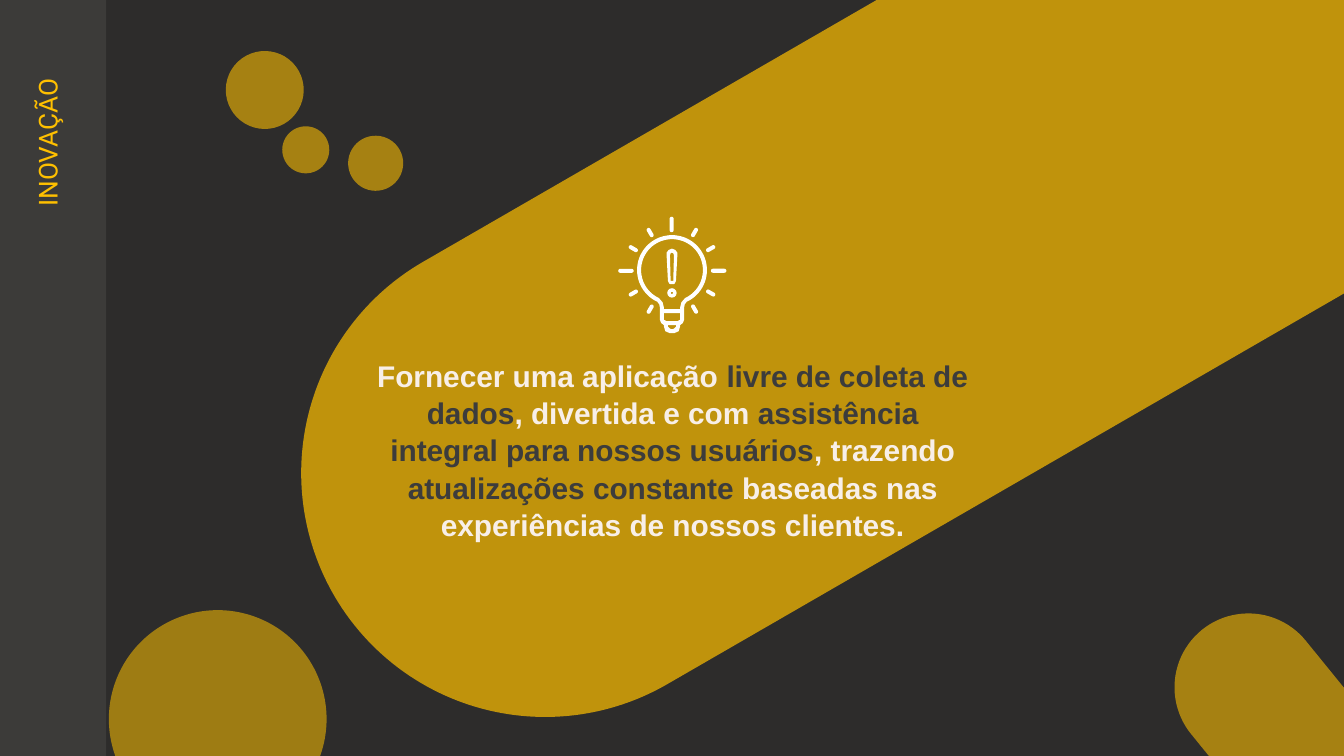
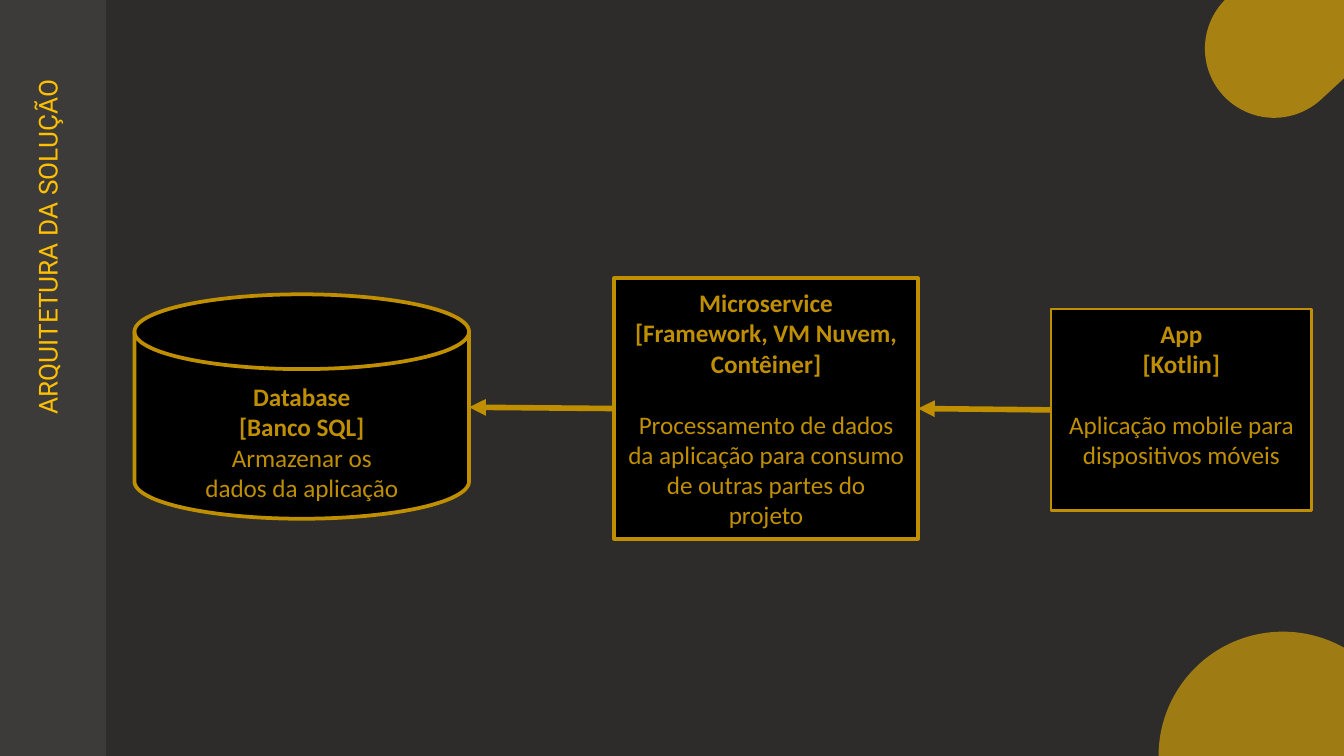
from dataclasses import dataclass
from math import cos, radians, sin

from lxml.etree import SubElement
from pptx import Presentation
from pptx.dml.color import RGBColor
from pptx.enum.shapes import MSO_CONNECTOR, MSO_SHAPE as Geo
from pptx.enum.text import MSO_ANCHOR, PP_ALIGN as Align
from pptx.oxml.ns import qn
from pptx.shapes.autoshape import Shape
from pptx.shapes.connector import Connector
from pptx.slide import Slide
from pptx.util import Emu, Pt

PX = 4572
SLIDE_W, SLIDE_H = 2000, 1125

BACKGROUND = RGBColor(0x2D, 0x2C, 0x2B)
SIDEBAR = RGBColor(0x3C, 0x3B, 0x39)
AMBER = RGBColor(0xFF, 0xC0, 0x00)
MUTED_AMBER = RGBColor(0xA7, 0x81, 0x12)
GOLD = RGBColor(0xBF, 0x8F, 0x00)
CREAM = RGBColor(0xF8, 0xEF, 0xE8)
CHARCOAL = RGBColor(0x3C, 0x3C, 0x3C)
BLACK = RGBColor(0x00, 0x00, 0x00)
WHITE = RGBColor(0xFF, 0xFF, 0xFF)

Point = tuple[float, float]


@dataclass(frozen=True)
class Box:
    left: int
    top: int
    width: int
    height: int

    def emu(self) -> tuple[Emu, Emu, Emu, Emu]:
        return px(self.left), px(self.top), px(self.width), px(self.height)


@dataclass(frozen=True)
class Blob:
    geometry: Geo
    box: Box
    opacity: int = 100
    rotation: float = 0
    colour: RGBColor = AMBER


@dataclass(frozen=True)
class Node:
    geometry: Geo
    box: Box
    text_box: Box
    heading: tuple[str, ...]
    details: tuple[str, ...]
    border: float = 2
    gap: float = 0


MISSION_PILL = Blob(Geo.ROUNDED_RECTANGLE, Box(366, 34, 1954, 726), 70, 330)
MISSION_BLOBS = (
    Blob(Geo.OVAL, Box(162, 908, 324, 324), 54),
    Blob(Geo.OVAL, Box(518, 202, 82, 82), 58, 30.9),
    Blob(Geo.OVAL, Box(420, 188, 70, 70), 58, 30.9),
    Blob(Geo.OVAL, Box(336, 76, 116, 116), 58, 30.9),
    Blob(Geo.ROUNDED_RECTANGLE, Box(1710, 992, 424, 220), 58, 50.9),
)
MISSION = (
    ("Fornecer uma aplicação ", CREAM),
    ("livre de coleta de dados", CHARCOAL),
    (", divertida e com ", CREAM),
    ("assistência integral para nossos usuários", CHARCOAL),
    (", trazendo ", CREAM),
    ("atualizações constante ", CHARCOAL),
    ("baseadas nas experiências de nossos clientes.", CREAM),
)

SOLUTION_BLOBS = (
    Blob(Geo.OVAL, Box(1724, 940, 370, 370), 54),
    Blob(Geo.ROUNDED_RECTANGLE, Box(1780, -64, 304, 206), 100, 137.3, MUTED_AMBER),
)
DATABASE = Node(
    Geo.FLOWCHART_MAGNETIC_DISK, Box(200, 438, 498, 334), Box(248, 558, 402, 202),
    ("Database", "[Banco SQL]"), ("Armazenar os", "dados da aplicação"),
)
APP = Node(
    Geo.RECTANGLE, Box(1564, 460, 388, 300), Box(1564, 464, 388, 248),
    ("App", "[Kotlin]"), ("Aplicação mobile para dispositivos móveis",),
    border=1.5, gap=16.5,
)
MICROSERVICE = Node(
    Geo.RECTANGLE, Box(914, 414, 452, 388), Box(914, 418, 452, 384),
    ("Microservice", "[Framework, VM Nuvem, Contêiner]"),
    ("Processamento de dados da aplicação para consumo de outras partes do projeto",),
    gap=16.5,
)

BULB_X, BULB_Y = 1000, 402


def px(value: float) -> Emu:
    return Emu(round(value * PX))


def paint(shape: Shape, colour: RGBColor, opacity: int = 100) -> None:
    shape.shadow.inherit = False
    shape.fill.solid()
    shape.fill.fore_color.rgb = colour
    shape.line.fill.background()
    if opacity < 100:
        tint = shape.fill._xPr.find(qn("a:solidFill"))[0]
        SubElement(tint, qn("a:alpha")).set("val", str(opacity * 1000))


def add_blob(slide: Slide, blob: Blob) -> Shape:
    shape = slide.shapes.add_shape(blob.geometry, *blob.box.emu())
    if blob.geometry == Geo.ROUNDED_RECTANGLE:
        shape.adjustments[0] = 0.5
    shape.rotation = blob.rotation
    paint(shape, blob.colour, blob.opacity)
    return shape


def add_text_box(slide: Slide, box: Box, inset_y: int = 20) -> Shape:
    holder = slide.shapes.add_textbox(*box.emu())
    frame = holder.text_frame
    frame.word_wrap = True
    frame.vertical_anchor = MSO_ANCHOR.TOP
    frame.margin_left = frame.margin_right = px(20)
    frame.margin_top = frame.margin_bottom = px(inset_y)
    return holder


def add_base(deck: Presentation, title: str, title_box: Box) -> Slide:
    slide = deck.slides.add_slide(deck.slide_layouts[6])
    slide.background.fill.solid()
    slide.background.fill.fore_color.rgb = BACKGROUND
    add_blob(slide, Blob(Geo.RECTANGLE, Box(-2, -2, 160, 1136), colour=SIDEBAR))
    heading = add_text_box(slide, title_box)
    heading.rotation = 270
    line = heading.text_frame.paragraphs[0]
    line.text = title
    line.alignment = Align.RIGHT
    line.font.name = "Roboto"
    line.font.size = Pt(14)
    line.font.color.rgb = AMBER
    return slide


def mirrored(half: list[Point]) -> list[Point]:
    right = [(BULB_X + dx, y) for dx, y in half]
    left = [(BULB_X - dx, y) for dx, y in reversed(half)]
    return right + left


def glass_arc(radius: int) -> list[Point]:
    return [
        (radius * sin(radians(angle)), BULB_Y - radius * cos(radians(angle)))
        for angle in range(0, 156, 5)
    ]


def add_outline(slide: Slide, halves: list[list[Point]]) -> None:
    contours = [[(px(x), px(y)) for x, y in mirrored(half)] for half in halves]
    builder = slide.shapes.build_freeform(*contours[0][0], scale=1.0)
    for index, contour in enumerate(contours):
        if index:
            builder.move_to(*contour[0])
        builder.add_line_segments(contour[1:], close=True)
    paint(builder.convert_to_shape(), WHITE)


def add_light_bulb(slide: Slide) -> None:
    add_outline(slide, [
        glass_arc(52) + [(19, 453), (18, 458), (18, 476), (16, 481), (12, 484),
                         (12, 486), (10, 493), (3, 496)],
        glass_arc(46) + [(14, 450), (12, 458), (12, 460)],
        [(12, 466), (12, 476), (8, 478)],
        [(6, 484), (6, 486), (2, 490)],
    ])
    add_outline(slide, [
        [(0, 370), (5, 372), (8, 376), (8, 380), (6, 418), (4, 422), (2, 423)],
        [(0, 376), (2, 377), (3, 380), (2, 418)],
    ])
    dot = slide.shapes.add_shape(Geo.DONUT, *Box(993, 429, 14, 14).emu())
    dot.adjustments[0] = 0.38
    paint(dot, WHITE)
    for angle in range(-240, 61, 30):
        distance, length = (69, 23) if angle % 90 == 0 else (66, 15)
        x = BULB_X + distance * cos(radians(angle))
        y = BULB_Y + 1 + distance * sin(radians(angle))
        ray = Box(round(x - length / 2), round(y - 3), length, 6)
        add_blob(slide, Blob(Geo.ROUNDED_RECTANGLE, ray, 100, angle % 360, WHITE))


def add_mission(slide: Slide) -> None:
    frame = add_text_box(slide, Box(540, 510, 922, 328)).text_frame
    statement = frame.paragraphs[0]
    statement.alignment = Align.CENTER
    statement.line_spacing = 1.04
    statement.space_after = Pt(16)
    statement.font.name = "Arial"
    statement.font.size = Pt(16)
    statement.font.bold = True
    for words, colour in MISSION:
        run = statement.add_run()
        run.text = words
        run.font.color.rgb = colour


def add_node(slide: Slide, node: Node) -> Shape:
    body = slide.shapes.add_shape(node.geometry, *node.box.emu())
    paint(body, BLACK)
    body.line.color.rgb = GOLD
    body.line.width = Pt(node.border)
    frame = add_text_box(slide, node.text_box, 10).text_frame
    for index, words in enumerate(node.heading + node.details):
        line = frame.add_paragraph() if index else frame.paragraphs[0]
        line.text = words
        line.alignment = Align.CENTER
        line.font.name = "Calibri"
        line.font.size = Pt(13.5)
        line.font.bold = index < len(node.heading)
        line.font.color.rgb = GOLD
        if node.gap and index == len(node.heading):
            line.space_before = Pt(node.gap)
    return body


def add_arrow(slide: Slide, start: Point, end: Point) -> Connector:
    arrow = slide.shapes.add_connector(
        MSO_CONNECTOR.STRAIGHT, *(px(value) for value in start + end)
    )
    arrow.line.color.rgb = GOLD
    arrow.line.width = Pt(3)
    SubElement(arrow.line._get_or_add_ln(), qn("a:tailEnd")).set("type", "triangle")
    SubElement(arrow._element.spPr, qn("a:effectLst"))
    return arrow


def build_innovation(deck: Presentation) -> None:
    slide = add_base(deck, "INOVAÇÃO", Box(-226, 350, 622, 116))
    add_blob(slide, MISSION_PILL)
    add_mission(slide)
    for blob in MISSION_BLOBS:
        add_blob(slide, blob)
    add_light_bulb(slide)


def build_architecture(deck: Presentation) -> None:
    slide = add_base(deck, "ARQUITETURA DA SOLUÇÃO", Box(-318, 444, 806, 116))
    add_node(slide, DATABASE)
    app = add_node(slide, APP)
    microservice = add_node(slide, MICROSERVICE)
    to_database = add_arrow(slide, (914, 608), (698, 606))
    to_database.begin_connect(microservice, 1)
    to_microservice = add_arrow(slide, (1564, 610), (1366, 608))
    to_microservice.begin_connect(app, 1)
    to_microservice.end_connect(microservice, 3)
    for blob in SOLUTION_BLOBS:
        add_blob(slide, blob)


def main() -> None:
    deck = Presentation()
    deck.slide_width, deck.slide_height = px(SLIDE_W), px(SLIDE_H)
    build_innovation(deck)
    build_architecture(deck)
    deck.save("out.pptx")


if __name__ == "__main__":
    main()
